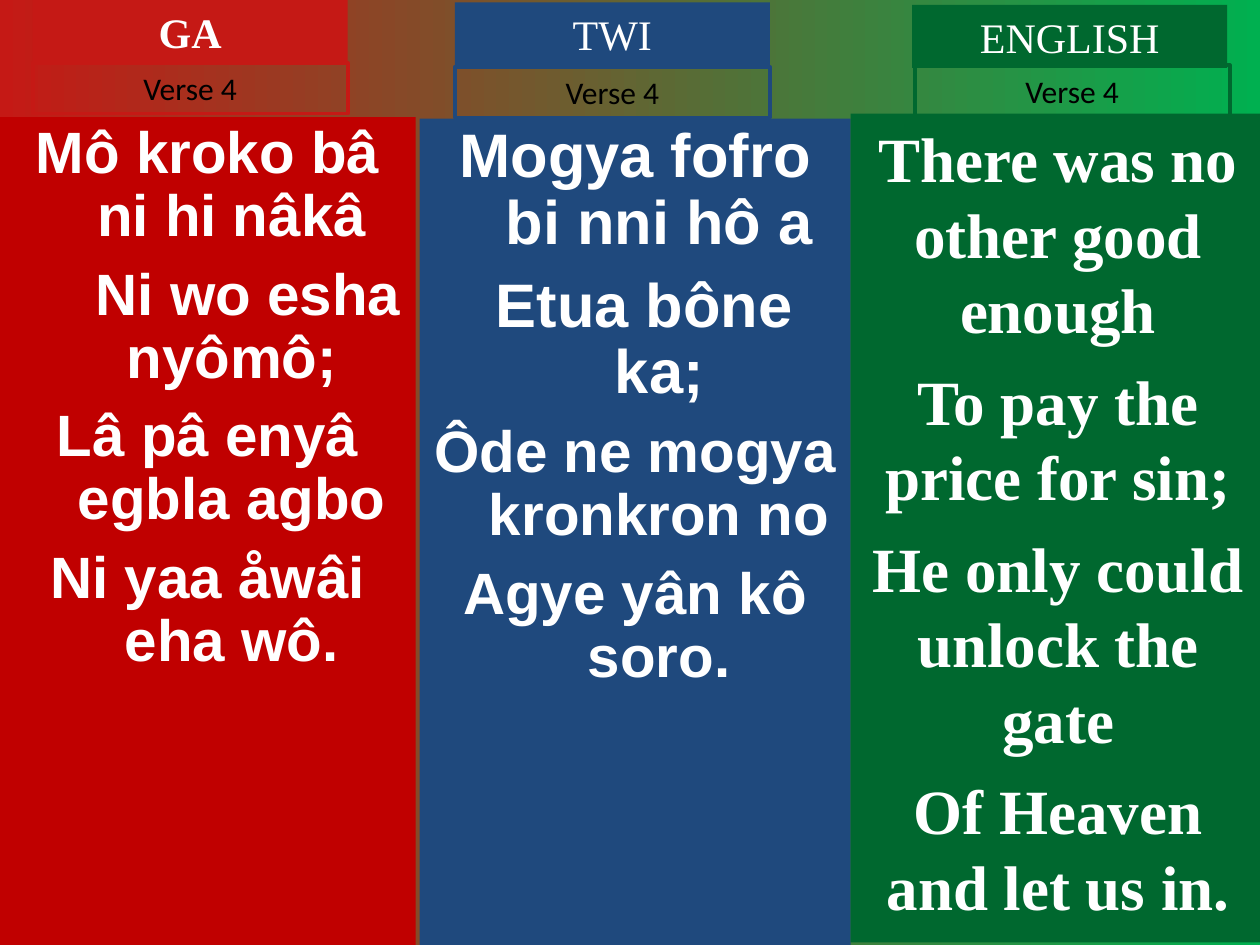
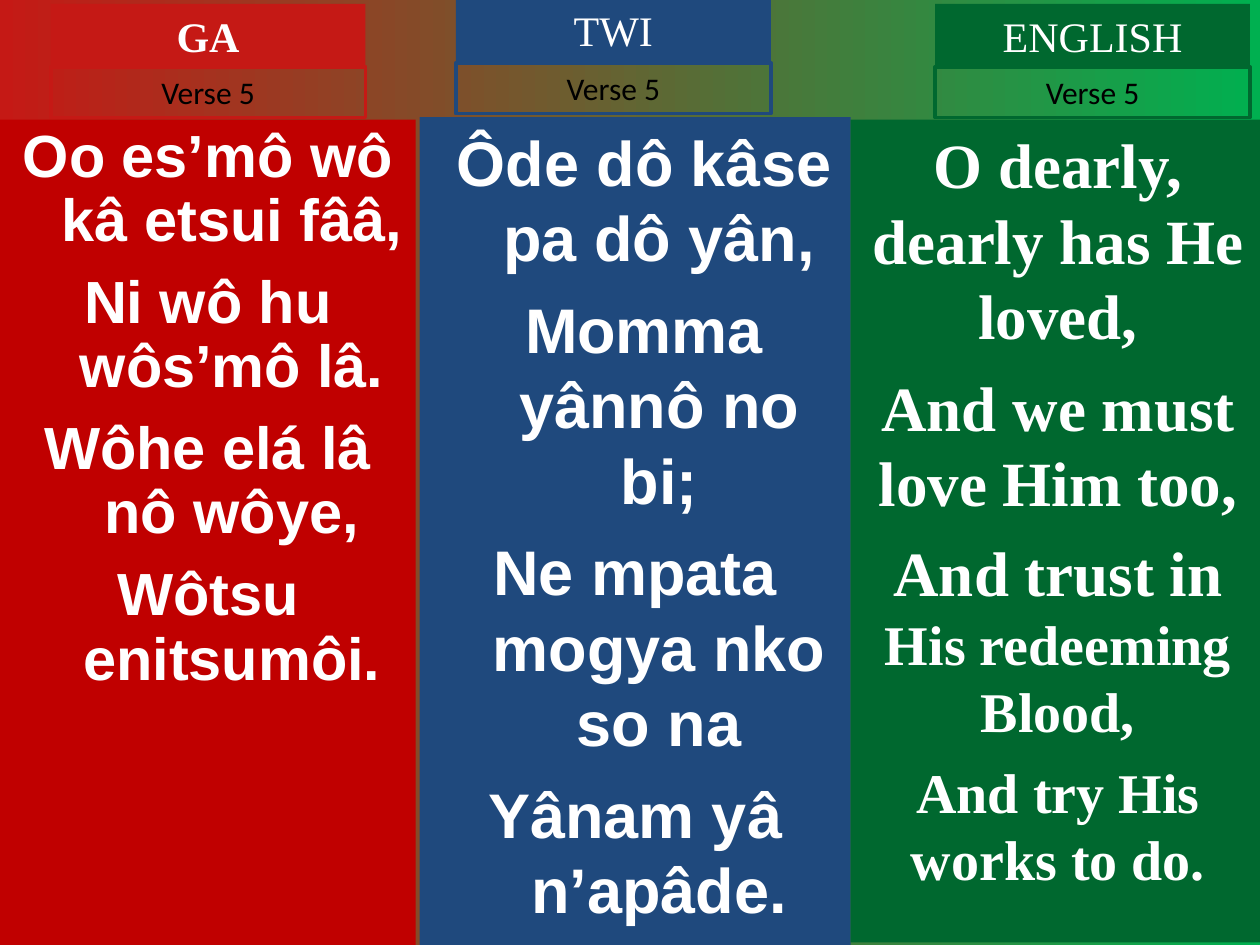
from dataclasses import dataclass

from pptx import Presentation
from pptx.dml.color import RGBColor
from pptx.enum.shapes import MSO_SHAPE
from pptx.enum.text import MSO_ANCHOR, MSO_AUTO_SIZE, PP_ALIGN
from pptx.util import Cm, Pt

COLORS = {
    "ga": "C00000", "ga_label": "C51915", "twi": "1F497D",
    "english": "00682F", "green": "00B050", "white": "FFFFFF", "black": "000000",
}
LABEL_W, LABEL_H, VERSE_H = 6.35, 1.27, 1.02
HANGING = 0.97


@dataclass
class Language:
    title: str
    color: str
    label_color: str
    font: str
    left: float
    width: float
    bottom: float = 19.05
    hanging: float = HANGING
    title_bold: bool = False


@dataclass
class Line:
    """One lyric line: (text, size) runs, with lead shifting its first row right."""
    runs: list
    lead: float = 0


@dataclass
class Panel:
    """One language's part of a slide; space is the gap before a line per point of text."""
    language: Language
    top: float
    label_at: tuple
    verse_at: tuple
    lines: list
    space: float = 0.25
    line_spacing: float = 1.0


GA = Language("GA", "ga", "ga_label", "Arial", 0, 8.38, title_bold=True)
TWI = Language("TWI", "twi", "twi", "Arial", 8.46, 8.69)
ENGLISH = Language("ENGLISH", "english", "english", "Times New Roman",
                   17.15, 8.36, bottom=19, hanging=0)


def rgb(name):
    return RGBColor.from_string(COLORS[name])


def lines(size, *texts):
    return [Line([(text, size)]) for text in texts]


class HymnDeck:
    def __init__(self):
        self.prs = Presentation()
        self.prs.slide_width, self.prs.slide_height = Cm(25.4), Cm(19.05)
        self.s = None

    def new_slide(self):
        self.s = self.prs.slides.add_slide(self.prs.slide_layouts[6])
        fill = self.s.background.fill
        fill.gradient()
        fill.gradient_angle = 0
        for stop, name, position in zip(fill.gradient_stops, ("ga_label", "green"), (0, 1)):
            stop.color.rgb = rgb(name)
            stop.position = position

    def box(self, left, top, width, height, fill=None, line=None):
        sp = self.s.shapes.add_shape(MSO_SHAPE.RECTANGLE, Cm(left), Cm(top),
                                     Cm(width), Cm(height))
        sp.shadow.inherit = False
        if fill:
            sp.fill.solid()
            sp.fill.fore_color.rgb = rgb(fill)
        else:
            sp.fill.background()
        if line:
            sp.line.color.rgb = rgb(line)
            sp.line.width = Pt(2.25)
        else:
            sp.line.fill.background()
        tf = sp.text_frame
        tf.word_wrap = True
        tf.vertical_anchor = MSO_ANCHOR.TOP
        return tf

    def run(self, p, text, size, font, color="white", bold=False):
        p.alignment = PP_ALIGN.CENTER
        r = p.add_run()
        r.text = text
        r.font.size, r.font.name, r.font.bold = Pt(size), font, bold
        r.font.color.rgb = rgb(color)

    def column(self, panel):
        lang = panel.language
        tf = self.box(lang.left, panel.top, lang.width, lang.bottom - panel.top, lang.color)
        for i, line in enumerate(panel.lines):
            p = tf.add_paragraph() if i else tf.paragraphs[0]
            p.line_spacing = panel.line_spacing
            p.space_before = Pt(round(line.runs[-1][1] * panel.space, 1) if i else 0)
            pPr = p._p.get_or_add_pPr()
            pPr.set("marL", str(Cm(lang.hanging)))
            pPr.set("indent", str(Cm(line.lead - lang.hanging)))
            for text, size in line.runs:
                self.run(p, text, size, lang.font, bold=True)

    def header(self, panel, verse):
        lang = panel.language
        title = self.box(*panel.label_at, LABEL_W, LABEL_H, fill=lang.label_color)
        self.run(title.paragraphs[0], lang.title, 24, "Times New Roman", bold=lang.title_bold)
        number = self.box(*panel.verse_at, LABEL_W, VERSE_H, line=lang.label_color)
        self.run(number.paragraphs[0], f"Verse {verse}", 18, "Calibri", "black")
        for tf in (title, number):
            tf.auto_size = MSO_AUTO_SIZE.SHAPE_TO_FIT_TEXT

    def verse(self, number, panels):
        self.new_slide()
        for panel in panels:
            self.column(panel)
        for panel in panels:
            self.header(panel, number)


VERSES = {
    4: [
        Panel(GA, 2.36, (0.66, 0), (0.66, 1.27), [
            Line([("Mô kroko bâ ni hi nâkâ", 33.3)]),
            Line([("Ni wo esha nyômô;", 33.3)], lead=1.63),
            *lines(33.3, "Lâ pâ enyâ egbla agbo", "Ni yaa åwâi eha wô."),
        ], space=0.27, line_spacing=0.9),
        Panel(TWI, 2.39, (9.17, 0.05), (9.17, 1.35), [
            Line([("Mogya fofro bi nni hô a", 35.1)]),
            Line([("Etua bône ka;", 35.1)], lead=0.36),
            *lines(33.3, "Ôde ne mogya kronkron no", "Agye yân kô soro."),
        ], space=0.27, line_spacing=0.9),
        Panel(ENGLISH, 2.29, (18.39, 0.1), (18.44, 1.32), lines(
            36, "There was no other good enough", "To pay the price for sin;",
            "He only could unlock the gate", "Of Heaven and let us in.")),
    ],
    5: [
        Panel(GA, 2.41, (1.02, 0.08), (1.02, 1.35), lines(
            34, "Oo es’mô wô kâ etsui fââ,", "Ni wô hu wôs’mô lâ.",
            "Wôhe elá lâ nô wôye,", "Wôtsu enitsumôi."),
            space=0.3, line_spacing=0.9),
        Panel(TWI, 2.36, (9.19, -0.03), (9.19, 1.27), [
            Line([("Ôde dô kâse pa dô yân,", 36)], lead=0.36),
            Line([("Momma yânnô no bi;", 36)], lead=0.36),
            *lines(36, "Ne mpata mogya nko so na", "Yânam yâ n’apâde."),
        ]),
        Panel(ENGLISH, 2.41, (18.85, 0.08), (18.85, 1.35), [
            *lines(36, "O dearly, dearly has He loved,", "And we must love Him too,"),
            Line([("And trust in ", 36), ("His redeeming Blood,", 32)]),
            *lines(32, "And try His works to do."),
        ]),
    ],
}


def main():
    deck = HymnDeck()
    for number, panels in VERSES.items():
        deck.verse(number, panels)
    deck.prs.save("out.pptx")


if __name__ == "__main__":
    main()
